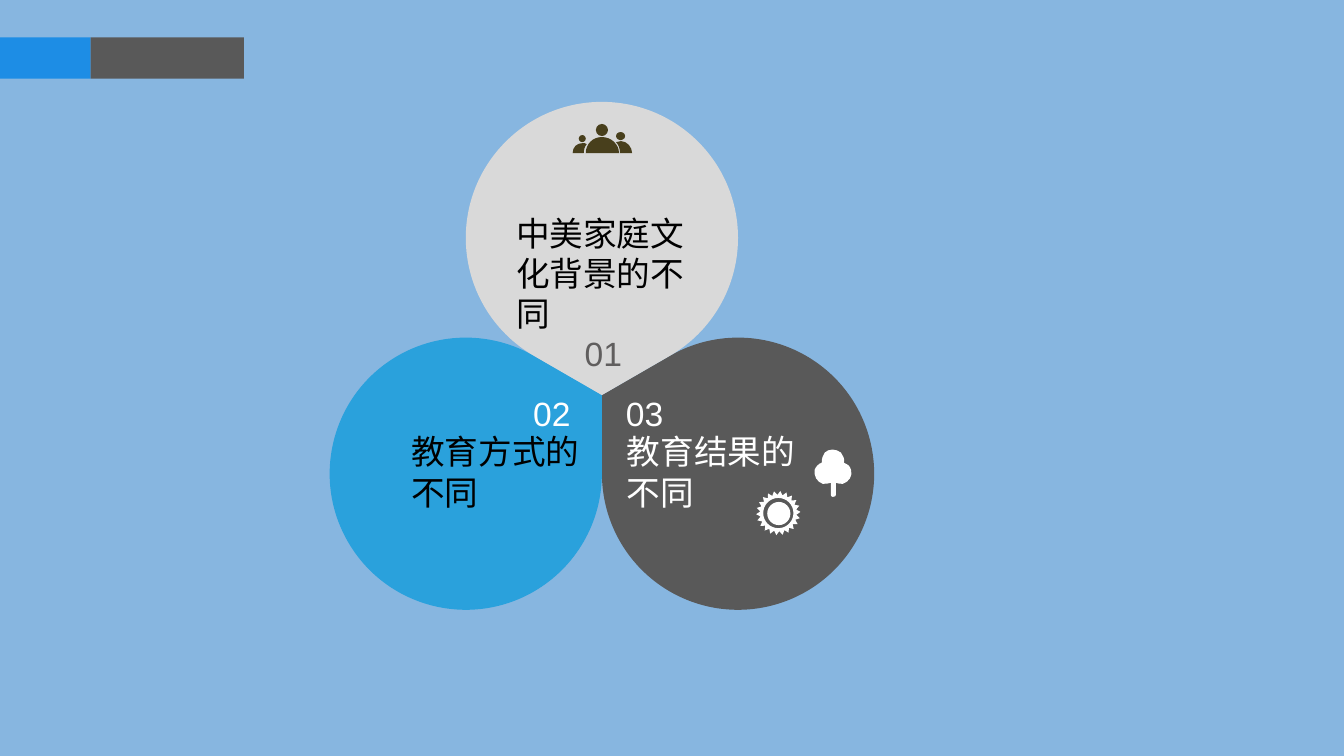
"""Build a slide of three petals comparing family education in China and the USA."""
import math

from lxml import etree
from pptx import Presentation, util as u
from pptx.dml.color import RGBColor
from pptx.enum import shapes, text
from pptx.oxml.ns import qn

COLORS = {
    "sky": "87B6E0", "accent": "1D8DE5", "charcoal": "595959", "blue": "2AA1DC",
    "silver": "D9D9D9", "olive": "483F1C", "white": "FFFFFF", "black": "000000",
    "grey": "605E5E",
}
LATIN, CHINESE = "Arial", "Noto Sans CJK SC"
TEXT_SIZE = 24

HEADER_BARS = [((0, 0.37, 0.9, 0.41), "accent"), ((0.9, 0.37, 1.52, 0.41), "charcoal")]

HUB = (5.97, 3.92)
PETAL_RADIUS = 1.35
PETAL_KNOTS = (-150, -90, 0, 90, 150)
PETALS = [(30, "charcoal"), (150, "blue"), (270, "silver")]

HEADS = [(5.91, 1.23, 0.12, 0.12), (6.11, 1.31, 0.09, 0.08), (5.74, 1.34, 0.07, 0.07)]
BODIES = [
    [[(5.81, 1.52)], [(5.81, 1.43), (5.88, 1.36), (5.97, 1.36)],
     [(6.06, 1.36), (6.14, 1.43), (6.14, 1.52)]],
    [[(5.82, 1.43)], [(5.81, 1.42), (5.79, 1.42), (5.78, 1.42)],
     [(5.72, 1.42), (5.68, 1.46), (5.68, 1.52)], [(5.79, 1.52)],
     [(5.79, 1.49), (5.8, 1.45), (5.82, 1.43)]],
    [[(6.16, 1.4)], [(6.14, 1.4), (6.13, 1.41), (6.11, 1.41)],
     [(6.14, 1.44), (6.15, 1.48), (6.15, 1.52)], [(6.27, 1.52)],
     [(6.27, 1.46), (6.22, 1.4), (6.16, 1.4)]],
]

SUN_CENTER = (7.72, 5.09)
SUN_CORE = (7.61, 4.98, 0.23, 0.23)
SUN_TEETH = 22
SUN_TIP, SUN_NOTCH, SUN_HOLE = 0.22, 0.18, 0.15

TREE = [
    [(8.44, 4.66)], [(8.43, 4.62), (8.4, 4.6), (8.37, 4.59)],
    [(8.38, 4.55), (8.36, 4.52), (8.34, 4.49)],
    [(8.29, 4.45), (8.22, 4.45), (8.18, 4.49)],
    [(8.16, 4.52), (8.15, 4.55), (8.15, 4.59)],
    [(8.12, 4.6), (8.09, 4.63), (8.08, 4.66)],
    [(8.07, 4.72), (8.1, 4.78), (8.16, 4.8)],
    [(8.19, 4.8), (8.21, 4.8), (8.24, 4.79)], [(8.24, 4.91)],
    [(8.24, 4.92), (8.25, 4.93), (8.26, 4.93)],
    [(8.28, 4.93), (8.29, 4.92), (8.29, 4.91)], [(8.29, 4.79)],
    [(8.31, 4.8), (8.34, 4.8), (8.36, 4.8)],
    [(8.42, 4.78), (8.46, 4.72), (8.44, 4.66)],
]

LABELS = [
    ("03", (6.11, 3.85, 0.58, 0.5), LATIN, "white"),
    ("教育结果的不同", (6.12, 4.23, 1.95, 0.91), CHINESE, "white"),
    ("02", (5.19, 3.85, 0.58, 0.5), LATIN, "white"),
    ("教育方式的不同", (3.98, 4.23, 1.95, 0.91), CHINESE, "black"),
    ("01", (5.7, 3.25, 0.58, 0.5), LATIN, "grey"),
    ("中美家庭文化背景的不同", (5.02, 2.06, 1.95, 1.31), CHINESE, "black"),
]


def rgb(color):
    return RGBColor.from_string(COLORS[color])


def polar(cx, cy, radius, degrees):
    angle = math.radians(degrees)
    return cx + radius * math.cos(angle), cy + radius * math.sin(angle)


def arc(center, radius, knots):
    steps = [[polar(*center, radius, knots[0])]]
    for start, end in zip(knots, knots[1:]):
        handle = radius * 4 / 3 * math.tan(math.radians(end - start) / 4)
        leave, arrive = (polar(*center, radius, angle) for angle in (start, end))
        steps.append([polar(*leave, handle, start + 90),
                      polar(*arrive, handle, end - 90), arrive])
    return steps


def paint(part, color):
    part.shadow.inherit = False
    part.fill.solid()
    part.fill.fore_color.rgb = rgb(color)
    part.line.fill.background()


def add_preset(slide, kind, box, color):
    paint(slide.shapes.add_shape(kind, *map(u.Inches, box)), color)


def add_outline(slide, contours, color):
    """Draw contours whose steps hold one point for a line or three for a curve."""
    builder = None
    for contour in contours:
        start, *points = [(u.Inches(x), u.Inches(y)) for step in contour for x, y in step]
        if builder is None:
            builder = slide.shapes.build_freeform(*start)
        else:
            builder.move_to(*start)
        builder.add_line_segments(points, close=True)
    outline = builder.convert_to_shape()
    lines = iter(list(outline._element.iter(qn("a:lnTo"))))
    for step in (step for contour in contours for step in contour[1:]):
        segment = [next(lines) for _ in step]
        if len(segment) == 3:
            curve = etree.Element(qn("a:cubicBezTo"))
            segment[0].addprevious(curve)
            for line in segment:
                curve.append(line[0])
                line.getparent().remove(line)
    paint(outline, color)


def add_petals(slide):
    reach = PETAL_RADIUS / math.sin(math.radians(60))
    for direction, color in PETALS:
        center = polar(*HUB, reach, direction)
        rim = arc(center, PETAL_RADIUS, [direction + knot for knot in PETAL_KNOTS])
        add_outline(slide, [[[HUB]] + rim], color)


def add_people(slide):
    for head in HEADS:
        add_preset(slide, shapes.MSO_SHAPE.OVAL, head, "olive")
    for body in BODIES:
        add_outline(slide, [body], "olive")


def add_sun(slide):
    add_preset(slide, shapes.MSO_SHAPE.OVAL, SUN_CORE, "white")
    rays = [[polar(*SUN_CENTER, SUN_NOTCH if i % 2 else SUN_TIP, i * 180 / SUN_TEETH - 3)]
            for i in range(2 * SUN_TEETH)]
    hole = arc(SUN_CENTER, SUN_HOLE, (360, 270, 180, 90, 0))
    add_outline(slide, [rays, hole], "white")


def add_label(slide, words, box, font_name, color):
    frame = slide.shapes.add_textbox(*map(u.Inches, box)).text_frame
    frame.word_wrap = font_name == CHINESE
    frame.auto_size = text.MSO_AUTO_SIZE.SHAPE_TO_FIT_TEXT
    run = frame.paragraphs[0].add_run()
    run.text = words
    run.font.color.rgb = rgb(color)
    for attribute, value in {"size": u.Pt(TEXT_SIZE), "name": font_name}.items():
        setattr(run.font, attribute, value)
    east_asian = etree.SubElement(run.font._element, qn("a:ea"))
    east_asian.set("typeface", font_name)


def main():
    deck = Presentation()
    deck.slide_width, deck.slide_height = u.Inches(13.33), u.Inches(7.5)
    slide = deck.slides.add_slide(deck.slide_layouts[6])
    slide.background.fill.solid()
    slide.background.fill.fore_color.rgb = rgb("sky")
    for box, color in HEADER_BARS:
        add_preset(slide, shapes.MSO_SHAPE.RECTANGLE, box, color)
    add_petals(slide)
    add_people(slide)
    add_sun(slide)
    add_outline(slide, [TREE], "white")
    for label in LABELS:
        add_label(slide, *label)
    deck.save("out.pptx")


if __name__ == "__main__":
    main()
